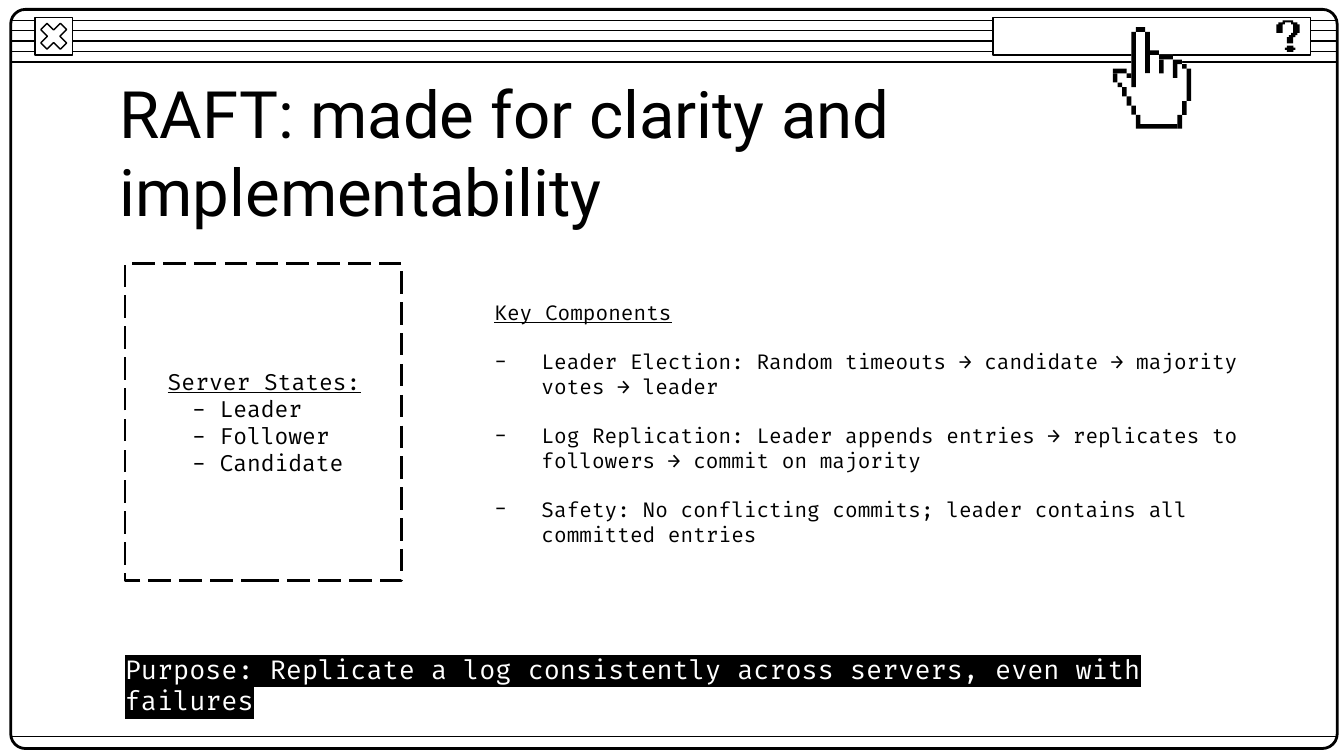
from lxml.etree import SubElement
from pptx import Presentation
from pptx.dml.color import RGBColor
from pptx.enum.dml import MSO_LINE
from pptx.enum.shapes import MSO_CONNECTOR, MSO_SHAPE
from pptx.enum.text import MSO_ANCHOR, MSO_AUTO_SIZE, PP_ALIGN
from pptx.oxml.ns import qn
from pptx.util import Pt

BLACK = RGBColor(0, 0, 0)
WHITE = RGBColor(255, 255, 255)
CODE = "Fira Code"

TITLE = "RAFT: made for clarity and implementability"
STATES_HEADING = "Server States:"
STATES = ["- Leader", "- Follower", "- Candidate"]
COMPONENTS_HEADING = "Key Components"
COMPONENTS = [
    "Leader Election: Random timeouts → candidate → majority votes → leader",
    "Log Replication: Leader appends entries → replicates to followers → commit on majority",
    "Safety: No conflicting commits; leader contains all committed entries",
]
PURPOSE = "Purpose: Replicate a log consistently across servers, even with failures"

# Boxes: left, top, width, height in points
FRAME = (5.76, 5.04, 710.64, 396)
CLOSE_BOX = (18.72, 9.36, 20.16, 20.16)
HELP_BAR = (532.1, 9.36, 169.9, 20.16)
TITLE_BOX = (56.9, 58.3, 607, 45.4)
COMPONENTS_BOX = (247, 141.1, 429.8, 171.4)
STATES_BOX = (67, 141.1, 148.3, 169.9)
PURPOSE_BOX = (59.8, 346.3, 623.5, 24.5)
STRIPE_TOP, STRIPE_GAP, STRIPE_COUNT = 10.9, 5.58, 5
FOOTER_LINE = 394.6

# Pixel art: origin and cell size in points, outlines and strips in cells
HELP_ORIGIN, HELP_CELL = (683.8, 10.9), 1.13
HELP_HOOK = [
    (3, 0), (3, 1), (1, 1), (1, 2), (0, 2), (0, 6), (3, 6), (3, 2), (4, 2), (4, 1), (7, 1),
    (7, 2), (8, 2), (8, 6), (7, 6), (7, 7), (6, 7), (6, 8), (5, 8), (5, 11), (8, 11), (8, 8),
    (9, 8), (9, 7), (10, 7), (10, 6), (11, 6), (11, 2), (10, 2), (10, 1), (8, 1), (8, 0),
]
HELP_DOT = [
    (5, 12), (5, 13), (4, 13), (4, 14), (5, 14), (5, 15),
    (8, 15), (8, 14), (9, 14), (9, 13), (8, 13), (8, 12),
]
HAND_ORIGIN, HAND_CELL = (596.2, 14.6), 2.47
HAND = [
    (5, 0), (5, 1), (4, 1), (4, 10), (3, 10), (3, 9), (0, 9), (0, 12), (1, 12), (1, 13),
    (2, 13), (2, 15), (3, 15), (3, 17), (4, 17), (4, 19), (5, 19), (5, 22), (15, 22), (15, 19),
    (16, 19), (16, 16), (17, 16), (17, 9), (16, 9), (16, 8), (15, 8), (15, 7), (13, 7), (13, 6),
    (10, 6), (10, 5), (8, 5), (8, 1), (7, 1), (7, 0),
]
HAND_STRIPS = [  # column, row, columns wide, rows high
    (4, 1, 1, 12), (5, 0, 2, 1), (7, 1, 1, 9), (8, 5, 2, 1), (10, 7, 1, 3), (10, 6, 3, 1),
    (13, 8, 1, 3), (13, 7, 2, 1), (15, 8, 1, 1), (16, 9, 1, 7), (15, 16, 1, 3), (14, 19, 1, 3),
    (5, 21, 9, 1), (3, 10, 1, 1), (0, 9, 3, 1), (0, 10, 1, 2), (1, 12, 1, 1), (2, 13, 1, 2),
    (3, 15, 1, 2), (4, 17, 1, 2), (5, 19, 1, 2),
]

presentation = Presentation()
presentation.slide_width, presentation.slide_height = Pt(720), Pt(405)
slide = presentation.slides.add_slide(presentation.slide_layouts[5])
shapes = slide.shapes


def paint(shape, fill=None, line=None):
    """Fill with a colour or nothing; outline in black at a width or not at all."""
    shape.shadow.inherit = False
    if fill is None:
        shape.fill.background()
    else:
        shape.fill.solid()
        shape.fill.fore_color.rgb = fill
    if line is None:
        shape.line.fill.background()
    else:
        shape.line.color.rgb = BLACK
        shape.line.width = Pt(line)
    return shape


def add_box(kind, box, fill=None, line=None):
    return paint(shapes.add_shape(kind, *map(Pt, box)), fill, line)


def add_rule(top):
    """Horizontal line across the window frame."""
    left, right = FRAME[0], FRAME[0] + FRAME[2]
    rule = shapes.add_connector(MSO_CONNECTOR.STRAIGHT, Pt(left), Pt(top), Pt(right), Pt(top))
    rule.line.color.rgb = BLACK
    rule.line.width = Pt(0.75)
    SubElement(rule._element.spPr, qn("a:effectLst"))


def add_pixels(outline, origin, cell, fill):
    builder = shapes.build_freeform(*outline[0], scale=Pt(cell))
    builder.add_line_segments(outline[1:], close=True)
    paint(builder.convert_to_shape(*map(Pt, origin)), fill)


def set_frame(frame, anchor=MSO_ANCHOR.MIDDLE, inset=7.2):
    values = {"word_wrap": True, "auto_size": MSO_AUTO_SIZE.NONE, "vertical_anchor": anchor,
              "margin_left": Pt(7.2), "margin_right": Pt(7.2),
              "margin_top": Pt(inset), "margin_bottom": Pt(inset)}
    for name, value in values.items():
        setattr(frame, name, value)
    return frame


def write(paragraph, text, size, font=CODE, color=BLACK, underline=None, left=0, hang=0):
    paragraph.alignment = PP_ALIGN.LEFT
    properties = paragraph._p.get_or_add_pPr()
    properties.set("marL", str(Pt(left)))
    properties.set("indent", str(Pt(-hang)))
    run = paragraph.add_run()
    run.text = text
    values = {"size": Pt(size), "name": font, "underline": underline}
    for name, value in values.items():
        setattr(run.font, name, value)
    run.font.color.rgb = color
    return run


# Window chrome
for index in range(STRIPE_COUNT):
    add_rule(STRIPE_TOP + index * STRIPE_GAP)
window = add_box(MSO_SHAPE.ROUNDED_RECTANGLE, FRAME, line=1.5)
window.adjustments[0] = 0.02
add_box(MSO_SHAPE.RECTANGLE, CLOSE_BOX, WHITE, 0.75)
add_box(MSO_SHAPE.MATH_MULTIPLY, CLOSE_BOX, WHITE, 0.75).adjustments[0] = 0.235
add_rule(FOOTER_LINE)
add_box(MSO_SHAPE.RECTANGLE, HELP_BAR, WHITE, 0.75)
for outline in (HELP_DOT, HELP_HOOK):
    add_pixels(outline, HELP_ORIGIN, HELP_CELL, BLACK)

# Hand pointer
add_pixels(HAND, HAND_ORIGIN, HAND_CELL, WHITE)
for column, row, wide, high in HAND_STRIPS:
    add_box(MSO_SHAPE.RECTANGLE,
            (HAND_ORIGIN[0] + column * HAND_CELL, HAND_ORIGIN[1] + row * HAND_CELL,
             wide * HAND_CELL, high * HAND_CELL), BLACK)

# Title
title = shapes.title
title.left, title.top, title.width, title.height = map(Pt, TITLE_BOX)
write(set_frame(title.text_frame).paragraphs[0], TITLE, 35, "Roboto")

# Key components
frame = set_frame(shapes.add_textbox(*map(Pt, COMPONENTS_BOX)).text_frame)
write(frame.paragraphs[0], COMPONENTS_HEADING, 11, underline=True, left=36, hang=25.2)
for component in COMPONENTS:
    paragraph = frame.add_paragraph()
    paragraph.space_before = Pt(13.2)
    write(paragraph, component, 11, left=36, hang=25.2)
    properties = paragraph._p.pPr
    SubElement(properties, qn("a:buFont")).set("typeface", CODE)
    SubElement(properties, qn("a:buChar")).set("char", "-")

# Server states
states = add_box(MSO_SHAPE.RECTANGLE, STATES_BOX, line=1.5)
states.line.dash_style = MSO_LINE.LONG_DASH
frame = set_frame(states.text_frame)
write(frame.paragraphs[0], STATES_HEADING, 12, underline=True, left=15.8)
for state in STATES:
    write(frame.add_paragraph(), state, 12, left=28.8)

# Purpose
frame = set_frame(shapes.add_textbox(*map(Pt, PURPOSE_BOX)).text_frame, MSO_ANCHOR.TOP, 3.6)
run = write(frame.paragraphs[0], PURPOSE, 14, color=WHITE)
properties = run._r.get_or_add_rPr()
highlight = SubElement(properties, qn("a:highlight"))
SubElement(highlight, qn("a:srgbClr")).set("val", str(BLACK))
properties.find(qn("a:solidFill")).addnext(highlight)

presentation.save("out.pptx")
